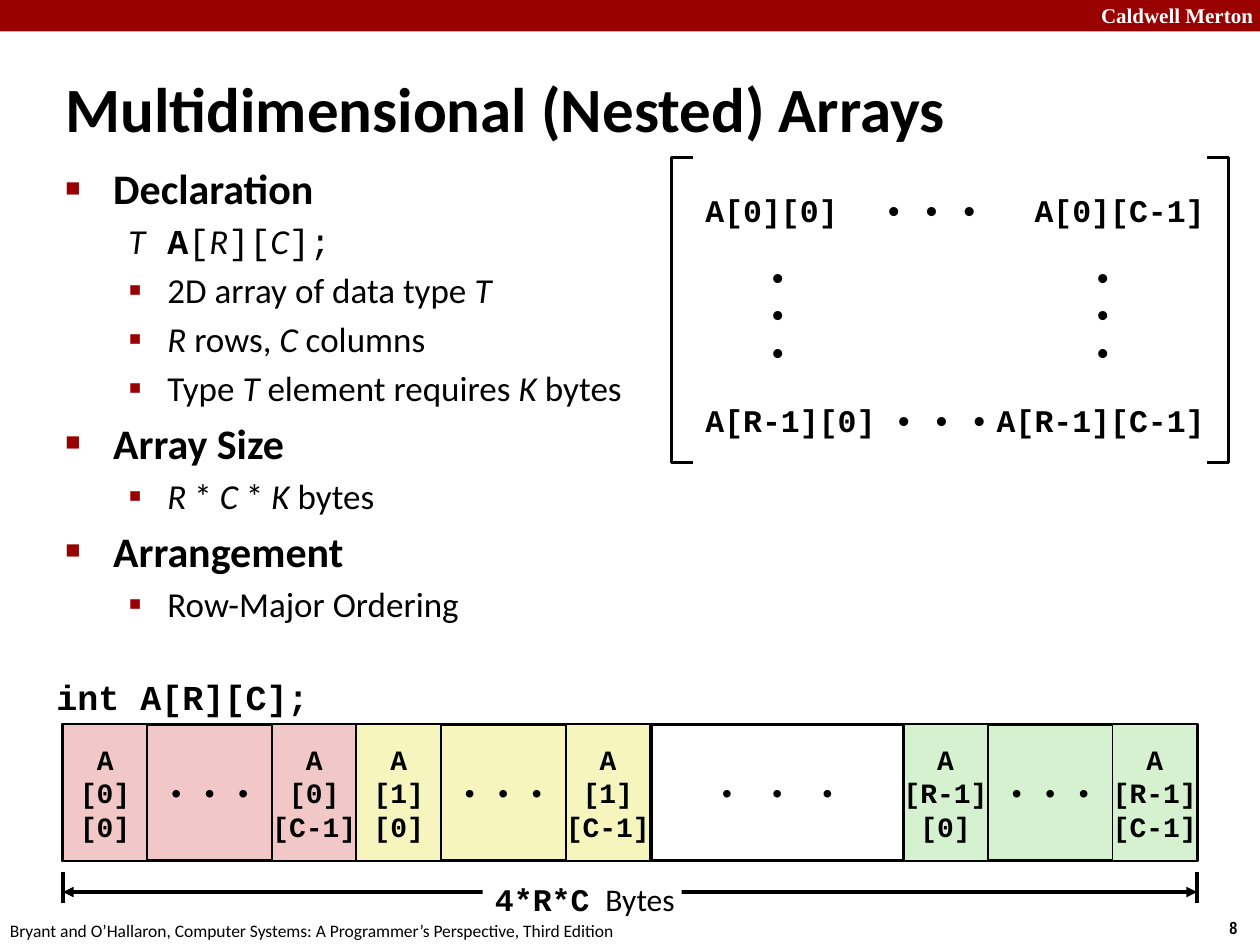
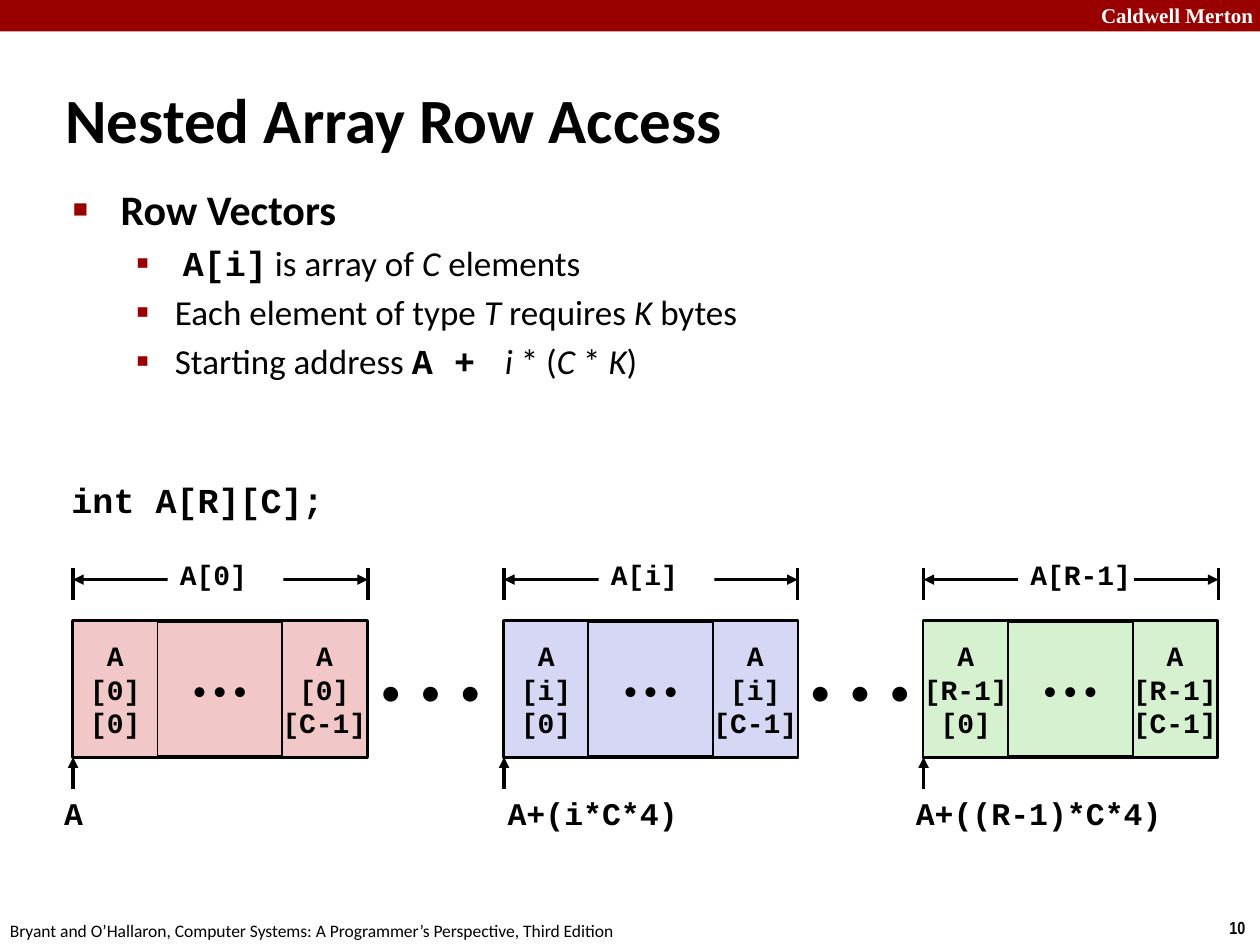
"""Build two lecture slides on nested arrays and their row-major layout."""
from lxml.etree import SubElement
from pptx import Presentation
from pptx.dml.color import RGBColor
from pptx.enum.shapes import MSO_CONNECTOR, MSO_SHAPE
from pptx.enum.text import MSO_ANCHOR, MSO_AUTO_SIZE, PP_ALIGN
from pptx.oxml.ns import qn
from pptx.util import Inches, Pt

LEFT, CENTER, RIGHT = PP_ALIGN.LEFT, PP_ALIGN.CENTER, PP_ALIGN.RIGHT
TOP, MIDDLE = MSO_ANCHOR.TOP, MSO_ANCHOR.MIDDLE
GROW = MSO_AUTO_SIZE.SHAPE_TO_FIT_TEXT
RECTANGLE, STRAIGHT = MSO_SHAPE.RECTANGLE, MSO_CONNECTOR.STRAIGHT

SANS, MONO, SERIF = "Calibri", "Courier New", "Times New Roman"
BLACK, WHITE, CRIMSON = "000000", "FFFFFF", "990000"
PINK, YELLOW, GREEN, LILAC = "F1C7C7", "F6F5BD", "D5F1CF", "D6D6F5"
DOTS = "• • •"
ROW_WIDTH, CELL_WIDTH, ROW_HEIGHT = 2.33, 0.67, 1.08
ROW_TOP, ACCESS_TOP = 5.75, 4.93


def box(slide, at, lines, size=18, font=MONO, bold=True, align=LEFT, fill=None,
        border=0, color=BLACK, wrap=False, spacing=0):
    """Add a text box, or a rectangle when filled; run styles are b, i, m (mono), w (wide)."""
    place = [Inches(length) for length in at]
    if fill:
        shape = slide.shapes.add_shape(RECTANGLE, *place)
        shape.shadow.inherit = False
        shape.fill.solid()
        shape.fill.fore_color.rgb = RGBColor.from_string(fill)
        if border:
            shape.line.width = Pt(border)
            shape.line.color.rgb = RGBColor.from_string(BLACK)
        else:
            shape.line.fill.background()
    else:
        shape = slide.shapes.add_textbox(*place)
    frame = shape.text_frame
    frame.word_wrap = wrap
    frame.vertical_anchor = MIDDLE if fill else TOP
    if not fill and not wrap:
        frame.auto_size = GROW
    for number, line in enumerate(lines):
        paragraph = frame.add_paragraph() if number else frame.paragraphs[0]
        paragraph.alignment = align
        paragraph.font.size = Pt(size)
        paragraph.font.name = font
        paragraph.font.bold = bold
        paragraph.font.color.rgb = RGBColor.from_string(color)
        for text, style in [(line, "")] if isinstance(line, str) else line:
            run = paragraph.add_run()
            run.text = text
            if "b" in style:
                run.font.bold = True
            if "i" in style:
                run.font.italic = True
            if "m" in style:
                run.font.name = MONO
            extra = 500 if "w" in style else spacing
            if extra:
                run.font._element.set("spc", str(extra))
    return frame


def rule(slide, start, end, ends=()):
    """Draw a black line with triangles at the named ends."""
    connector = slide.shapes.add_connector(
        STRAIGHT, *[Inches(length) for length in (*start, *end)])
    connector.line.width = Pt(2)
    connector.line.color.rgb = RGBColor.from_string(BLACK)
    properties = connector.element.spPr
    for name in ends:
        SubElement(properties.find(qn("a:ln")), qn(f"a:{name}"), type="triangle")
    SubElement(properties, qn("a:effectLst"))


prs = Presentation()
prs.slide_width, prs.slide_height = Inches(10), Inches(7.5)

declaration_body = [
    (0, [("Declaration", "b")]),
    (2, [("T\t", "i"), ("A", "mb"), ("[", "m"), ("R", "i"), ("][", "m"), ("C", "i"),
         ("];", "m")]),
    (1, [("2D array of data type ", ""), ("T", "i")]),
    (1, [("R", "i"), (" rows, ", ""), ("C", "i"), (" columns", "")]),
    (1, [("Type ", ""), ("T", "i"), (" element requires ", ""), ("K", "i"),
         (" bytes", "")]),
    (0, [("Array Size", "b")]),
    (1, [("R", "i"), (" * ", ""), ("C ", "i"), ("* ", ""), ("K ", "i"), ("bytes", "")]),
    (0, [("Arrangement", "b")]),
    (1, [("Row-Major Ordering", "")]),
]
access_body = [
    (0, [("Row Vectors", "b")]),
    (1, [(" ", ""), ("A[i]", "mb"), (" is array of ", ""), ("C", "i"), (" elements", "")]),
    (1, [("Each element of type ", ""), ("T ", "i"), ("requires ", ""), ("K ", "i"),
         ("bytes", "")]),
    (1, [("Starting address ", ""), ("A +", "mb"), (" ", "mw"), ("i", "i"), (" * (", ""),
         ("C ", "i"), ("* ", ""), ("K", "i"), (")", "")]),
]
pages = [
    ("Multidimensional (Nested) Arrays", (0.42, 0.54, 8.83, 0.63), "8",
     declaration_body, (0.42, 1.24, 4.85, 3.68), (0.3, 5.31, 2.25, 0.43)),
    ("Nested Array Row Access", (0.42, 0.62, 7.58, 0.63), "10",
     access_body, (0.48, 1.41, 6.52, 1.59), (0.42, 3.75, 2.25, 0.43)),
]
slides = []
for heading, heading_at, number, body, body_at, code_at in pages:
    slide = prs.slides.add_slide(prs.slide_layouts[5])
    slides.append(slide)
    box(slide, (0, 0, 10, 0.25), [], fill=CRIMSON)
    box(slide, (8.64, -0.03, 1.43, 0.3), ["Caldwell Merton"], 12, SERIF,
        color=WHITE, wrap=True)
    box(slide, (9.66, 7.23, 0.34, 0.27), [number], 10, "Arial Narrow")
    box(slide, (-0.02, 7.25, 5.08, 0.27),
        ["Bryant and O’Hallaron, Computer Systems: A Programmer’s Perspective, Third Edition"],
        10, SANS, bold=False)

    title = slide.shapes.title
    title.left, title.top, title.width, title.height = [Inches(v) for v in heading_at]
    title.text_frame.text = heading
    title.text_frame.vertical_anchor = MIDDLE
    paragraph = title.text_frame.paragraphs[0]
    paragraph.alignment = LEFT
    paragraph.font.size = Pt(36)
    paragraph.font.name = SANS
    paragraph.font.bold = True
    paragraph.font.color.rgb = RGBColor.from_string(BLACK)

    outline = box(slide, body_at, [runs for _, runs in body], 20, SANS, bold=False, wrap=True)
    for paragraph, (kind, _) in zip(outline.paragraphs, body):
        size, margin, hanging, bullet, scale = (
            (20, 0.81, 0.31, "▪", 110) if kind else (24, 0.38, 0.38, "■", 60))
        paragraph.level = min(kind, 1)
        paragraph.font.size = Pt(size)
        paragraph.space_before = Pt(size * 0.2)
        properties = paragraph._p.pPr
        properties.set("marL", str(Inches(margin)))
        properties.set("indent", str(-Inches(hanging)))
        if kind < 2:
            bullet_color = SubElement(properties, qn("a:buClr"))
            SubElement(bullet_color, qn("a:srgbClr"), val=CRIMSON)
            bullet_size = SubElement(properties, qn("a:buSzPct"), val=str(scale * 1000))
            bullet_font = SubElement(properties, qn("a:buFont"), typeface=SERIF)
            bullet_char = SubElement(properties, qn("a:buChar"), char=bullet)
            for part in (bullet_color, bullet_size, bullet_font, bullet_char):
                properties.find(qn("a:defRPr")).addprevious(part)

    box(slide, code_at, ["int A[R][C];"], 20, align=RIGHT)

nested, access = slides

matrix = [
    (5.5, 1.42, 1.33, 0.5, ["A[0][0]"], LEFT),
    (8.33, 1.42, 1.33, 0.5, ["A[0][C-1]"], RIGHT),
    (5.5, 3.08, 1.33, 0.5, ["A[R-1][0]"], LEFT),
    (6.92, 1.42, 1, 0.5, [DOTS], LEFT),
    (7, 3.08, 1, 0.5, [DOTS], LEFT),
    (8.33, 3.08, 1.33, 0.5, ["A[R-1][C-1]"], RIGHT),
    (6, 2.08, 0.5, 0.83, ["•"] * 3, LEFT),
    (8.58, 2.08, 0.5, 0.83, ["•"] * 3, LEFT),
]
for *at, entry, align in matrix:
    box(nested, at, entry, align=align, fill=WHITE)
for tip, edge in ((5.5, 5.33), (9.58, 9.75)):
    outline = nested.shapes.build_freeform(Inches(tip), Inches(1.25))
    outline.add_line_segments(
        [(Inches(x), Inches(y)) for x, y in ((edge, 1.25), (edge, 3.67), (tip, 3.67))],
        close=False)
    bracket = outline.convert_to_shape()
    bracket.shadow.inherit = False
    bracket.fill.background()
    bracket.line.width = Pt(2)
    bracket.line.color.rgb = RGBColor.from_string(BLACK)

for left in (2.92, 6.33):
    box(access, (left, ACCESS_TOP, 1.08, ROW_HEIGHT), [DOTS], 24, SANS, bold=False,
        fill=WHITE, spacing=270)

rows = [
    (nested, 0.5, ROW_TOP, PINK, "[0]", MONO),
    (nested, 2.83, ROW_TOP, YELLOW, "[1]", MONO),
    (nested, 7.17, ROW_TOP, GREEN, "[R-1]", MONO),
    (access, 0.58, ACCESS_TOP, PINK, "[0]", SANS),
    (access, 4, ACCESS_TOP, LILAC, "[i]", SANS),
    (access, 7.33, ACCESS_TOP, GREEN, "[R-1]", SANS),
]
for slide, left, top, fill, index, dots_font in rows:
    box(slide, (left, top, ROW_WIDTH, ROW_HEIGHT), [DOTS], 16, dots_font, bold=False,
        align=CENTER, fill=fill, border=2.25)
    for cell_left, column in ((left, "[0]"), (left + ROW_WIDTH - CELL_WIDTH, "[C-1]")):
        box(slide, (cell_left, top, CELL_WIDTH, ROW_HEIGHT), ["A", index, column], 16,
            align=CENTER, fill=fill, border=1)
box(nested, (5.17, ROW_TOP, 2, ROW_HEIGHT), [DOTS], 16, bold=False, align=CENTER,
    fill=WHITE, border=2, spacing=480)

spans = [
    (nested, 0.5, 9.5, 6.92, 7.08),
    (access, 0.58, 2.92, 4.51, 4.6),
    (access, 4, 6.33, 4.51, 4.6),
    (access, 7.33, 9.67, 4.51, 4.6),
]
for slide, left, right, tick_top, arrow_y in spans:
    for x in (left, right):
        rule(slide, (x, tick_top), (x, tick_top + 0.25))
    rule(slide, (left, arrow_y), (right, arrow_y), ("headEnd", "tailEnd"))

box(nested, (3.83, 6.92, 1.58, 0.42), [[("4*R*C", "mb"), (" ", "w"), ("Bytes", "")]],
    font=SANS, bold=False, fill=WHITE)

addresses = [
    (0.58, "A[0]", "A", (0.37, 6.25, 0.43, 0.4), CENTER),
    (4, "A[i]", "A+(i*C*4)", (3.93, 6.25, 1.98, 0.4), LEFT),
    (7.33, "A[R-1]", "A+((R-1)*C*4)", (7.17, 6.25, 2.5, 0.4), LEFT),
]
for left, row_name, address, address_at, align in addresses:
    box(access, (left + 0.75, 4.35, 0.92, 0.42), [row_name], 16, fill=WHITE)
    rule(access, (left, 6.26), (left, 6.01), ("tailEnd",))
    box(access, address_at, [address], align=align, wrap=True)

prs.save("out.pptx")
